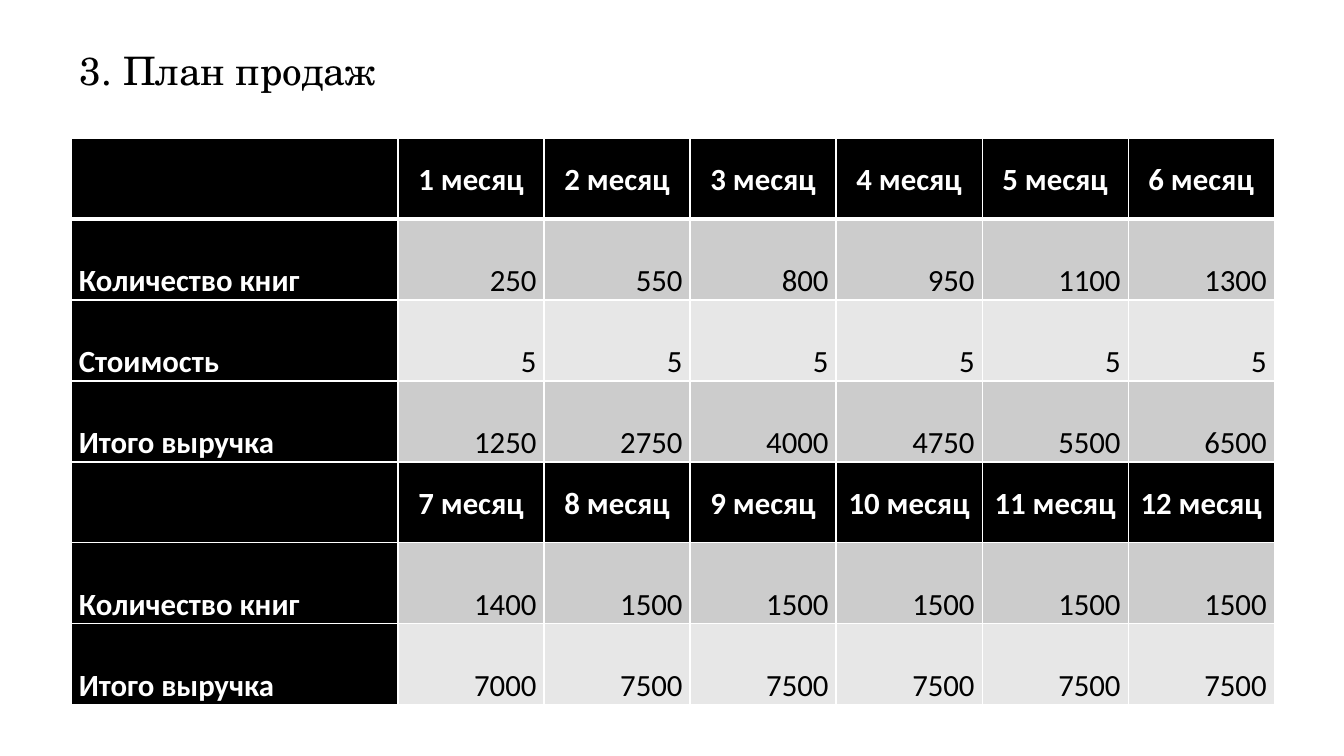
from dataclasses import dataclass

from lxml.etree import SubElement
from pptx import Presentation
from pptx.dml.color import RGBColor
from pptx.enum.text import MSO_ANCHOR as ANCHOR, PP_ALIGN as ALIGN
from pptx.oxml.ns import qn
from pptx.util import Cm, Pt


@dataclass(frozen=True)
class Theme:
    black: str = "000000"
    white: str = "FFFFFF"
    bands: tuple = ("CCCCCC", "E7E7E7")
    title_font: str = "TeX Gyre Schola"
    table_font: str = "Calibri"
    title_size: int = 28
    table_size: int = 22
    thin: int = 1
    thick: int = 3


THEME = Theme()

# Each block: months, then label and values of its rows
BLOCKS = [
    (range(1, 7), [
        ("Количество книг", [250, 550, 800, 950, 1100, 1300]),
        ("Стоимость", [5] * 6),
        ("Итого выручка", [1250, 2750, 4000, 4750, 5500, 6500]),
    ]),
    (range(7, 13), [
        ("Количество книг", [1400] + [1500] * 5),
        ("Итого выручка", [7000] + [7500] * 5),
    ]),
]


def set_attrs(obj, values):
    for name, value in values.items():
        setattr(obj, name, value)


def style_font(font, name, size, color, bold=False):
    set_attrs(font, {"name": name, "size": Pt(size), "bold": bold})
    font.color.rgb = RGBColor.from_string(color)


def add_title(s, text):
    sp = s.shapes.title
    set_attrs(sp, {"left": Cm(1.75), "top": Cm(0.76), "width": Cm(8.3), "height": Cm(2.13)})
    tf = sp.text_frame
    set_attrs(tf, {"word_wrap": True, "vertical_anchor": ANCHOR.MIDDLE})
    p = tf.paragraphs[0]
    set_attrs(p, {"alignment": ALIGN.LEFT, "line_spacing": 0.9})
    r = p.add_run()
    r.text = text
    style_font(r.font, THEME.title_font, THEME.title_size, THEME.black)


def set_borders(cell, top, bottom):
    tc_pr = cell._tc.get_or_add_tcPr()
    widths = {"lnL": THEME.thin, "lnR": THEME.thin, "lnT": top, "lnB": bottom}
    for tag, width in widths.items():
        ln = SubElement(tc_pr, qn(f"a:{tag}"), w=str(Pt(width)))
        fill = SubElement(ln, qn("a:solidFill"))
        SubElement(fill, qn("a:srgbClr"), val=THEME.white)


def fill_cell(cell, text, fill, color, bold, align, anchor):
    cell.fill.solid()
    cell.fill.fore_color.rgb = RGBColor.from_string(fill)
    set_attrs(cell, {"margin_left": Cm(0.19), "margin_right": Cm(0.19),
                     "margin_top": 0, "margin_bottom": 0, "vertical_anchor": anchor})
    if text:
        p = cell.text_frame.paragraphs[0]
        set_attrs(p, {"alignment": align, "line_spacing": 1.07, "space_after": Pt(8)})
        r = p.add_run()
        r.text = text
        style_font(r.font, THEME.table_font, THEME.table_size, color, bold)


def table_rows():
    """Yield the texts of each row and its band colour, None for a header."""
    for months, lines in BLOCKS:
        yield ["", *(f"{m} месяц" for m in months)], None
        for i, (label, values) in enumerate(lines):
            yield [label, *map(str, values)], THEME.bands[i % 2]


def add_sales_table(s):
    rows = list(table_rows())
    table = s.shapes.add_table(len(rows), 7, Cm(1.8), Cm(3.48), Cm(30.33), Cm(14.28)).table
    for j, column in enumerate(table.columns):
        column.width = Cm(3.68) if j else Cm(8.23)
    for i, (texts, band) in enumerate(rows):
        table.rows[i].height = Cm(2.04)
        top = THEME.thick if i == 1 else THEME.thin
        bottom = THEME.thick if i == 0 else THEME.thin
        anchor = ANCHOR.BOTTOM if band else ANCHOR.MIDDLE
        for j, text in enumerate(texts):
            cell = table.cell(i, j)
            set_borders(cell, top, bottom)
            if band and j:
                fill_cell(cell, text, band, THEME.black, False, ALIGN.RIGHT, anchor)
            else:
                align = ALIGN.CENTER if j else ALIGN.LEFT
                fill_cell(cell, text, THEME.black, THEME.white, True, align, anchor)


def main():
    prs = Presentation()
    set_attrs(prs, {"slide_width": Cm(33.87), "slide_height": Cm(19.05)})
    s = prs.slides.add_slide(prs.slide_layouts[5])
    add_title(s, "3. План продаж")
    add_sales_table(s)
    prs.save("out.pptx")


if __name__ == "__main__":
    main()
